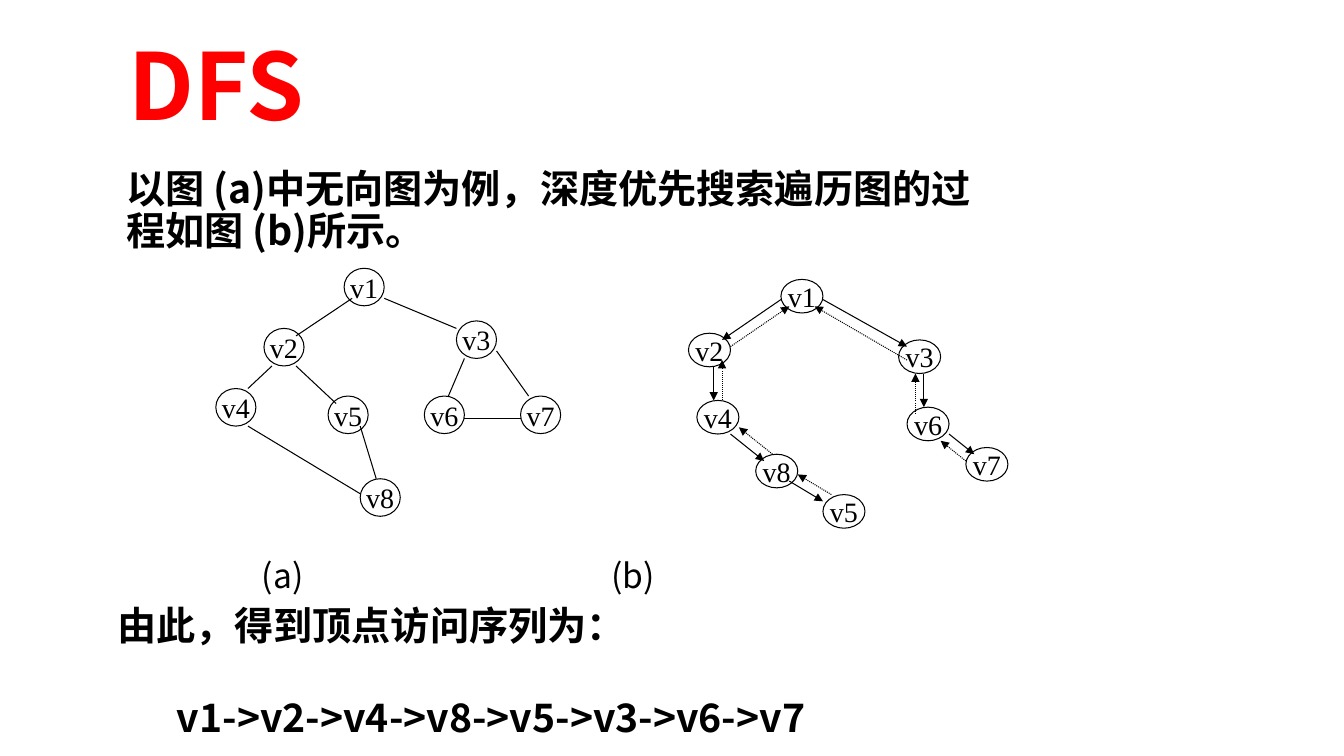
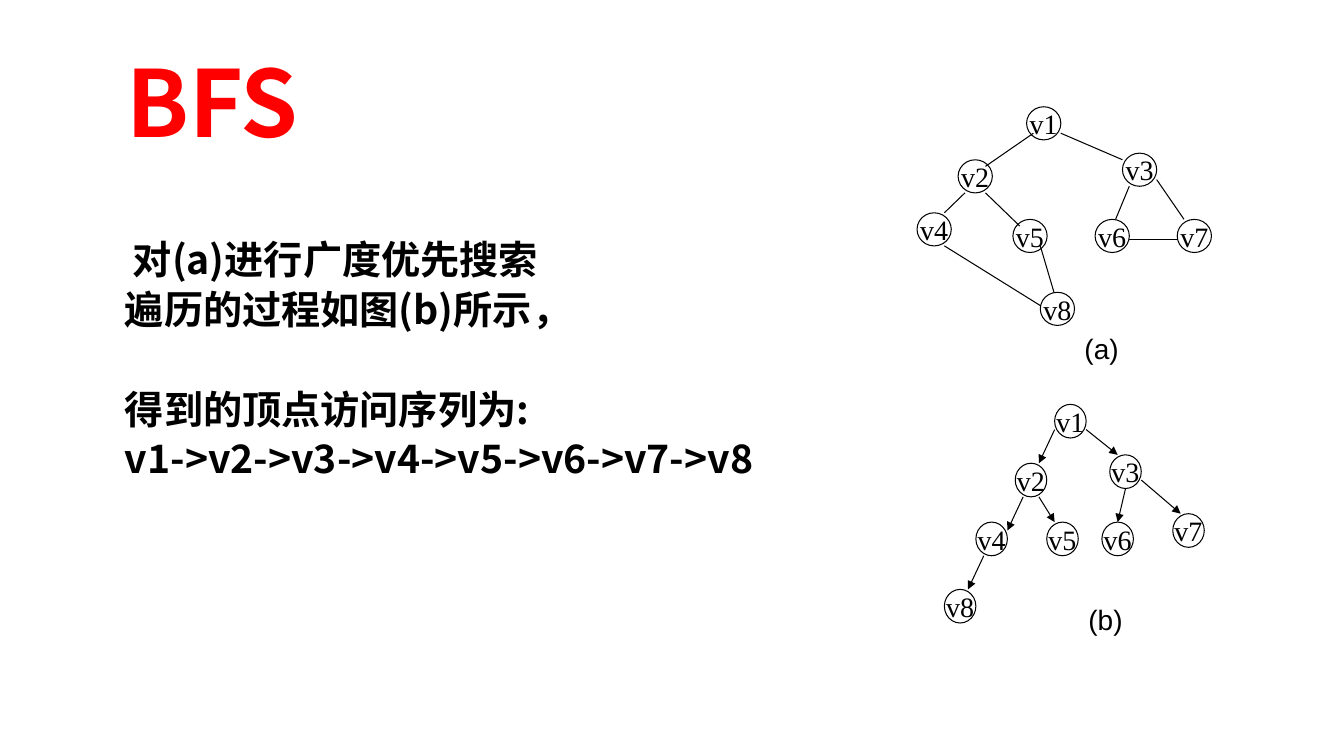
from pptx import Presentation
from pptx import util as u
from pptx.dml import color
from pptx.enum import dml, shapes, text
from pptx.oxml import ns
from lxml import etree

SANS = "Noto Sans CJK SC"
SERIF = "Times New Roman"
ARIAL = "Arial"

UNDIRECTED = {
    "cols": 43, "rows": 33, "node": 5,
    "nodes": {"v1": (16, 0), "v2": (6, 8), "v3": (30, 7), "v4": (0, 16),
              "v5": (14, 17), "v6": (26, 17), "v7": (38, 17), "v8": (18, 28)},
    "edges": [(17, 4, 10, 9), (21, 4, 30, 8), (7, 13, 4, 16),
              (10, 13, 15, 18), (31, 12, 29, 17), (35, 11, 39, 17),
              (31, 20, 38, 20), (18, 21, 20, 28), (4, 21, 18, 30)],
}
DEPTH_FIRST = {
    "cols": 38, "rows": 37, "node": 5,
    "nodes": {"v1": (11, 0), "v2": (0, 8), "v3": (25, 9), "v4": (1, 18),
              "v5": (16, 32), "v6": (26, 19), "v7": (33, 25), "v8": (8, 26)},
    "visits": [(11, 3, 4, 9), (16, 3, 26, 10), (3, 13, 3, 18),
               (28, 14, 28, 19), (5, 23, 9, 27), (12, 30, 16, 33),
               (31, 23, 34, 26)],
    "returns": [(5, 10, 12, 4), (26, 12, 15, 4), (4, 18, 4, 12),
                (27, 20, 27, 14), (10, 26, 6, 22), (17, 32, 13, 29),
                (33, 27, 30, 24)],
}
BREADTH_FIRST = {
    "cols": 33, "rows": 26, "node": 4,
    "nodes": {"v1": (14, 0), "v2": (9, 7), "v3": (21, 6), "v4": (4, 14),
              "v5": (13, 14), "v6": (20, 14), "v7": (29, 13), "v8": (0, 22)},
    "visits": [(14, 3, 12, 7), (18, 3, 22, 6), (10, 11, 8, 15),
               (12, 11, 14, 14), (23, 10, 22, 14), (25, 9, 30, 13),
               (5, 18, 3, 22)],
}


def rgb(value):
    return color.RGBColor.from_string(value)


def set_values(target, values):
    for name, value in values.items():
        setattr(target, name, value)


class Lecture:
    ink = "000000"
    accent = "FF0000"
    line_width = u.Pt(0.75)
    leading = 1.07
    plain_frame = {"margin_left": 0, "margin_right": 0,
                   "margin_top": 0, "margin_bottom": 0}

    def __init__(self):
        self.deck = Presentation()
        set_values(self.deck, {"slide_width": u.Cm(33.87),
                               "slide_height": u.Cm(19.05)})
        self.page = None

    def new_page(self):
        self.page = self.deck.slides.add_slide(self.deck.slide_layouts[6])

    def add_words(self, para, words, size, font=SANS, bold=False, shade=ink):
        span = para.add_run()
        span.text = words
        set_values(span.font, {"size": u.Pt(size), "name": font, "bold": bold})
        span.font.color.rgb = rgb(shade)
        if font == SANS:
            east = etree.SubElement(span.font._element, ns.qn("a:ea"))
            east.set("typeface", font)

    def text(self, left, top, width, lines, size, **style):
        height = size * self.leading * len(lines) / 28.35
        box = self.page.shapes.add_textbox(*map(u.Cm, (left, top, width, height)))
        frame = box.text_frame
        set_values(frame, {**self.plain_frame, "word_wrap": True})
        for index, (words, indent, after) in enumerate(lines):
            para = frame.add_paragraph() if index else frame.paragraphs[0]
            set_values(para, {"line_spacing": u.Pt(size * self.leading),
                              "space_before": u.Pt(0), "space_after": u.Pt(after)})
            para._p.get_or_add_pPr().set("indent", str(u.Cm(indent)))
            self.add_words(para, words, size, **style)

    def title(self, left, top, words):
        self.text(left, top, 22, [(words, 0, 0)], 66, bold=True, shade=self.accent)

    def body(self, left, top, lines):
        self.text(left, top, 21.8, lines, 28, bold=True)

    def caption(self, left, top, words, size, font):
        self.text(left, top, 2.5, [(words, 0, 0)], size, font=font)

    def node(self, group, name, left, top, width, height):
        circle = group.shapes.add_shape(
            shapes.MSO_SHAPE.OVAL, *map(u.Cm, (left, top, width, height)))
        circle.shadow.inherit = False
        circle.fill.background()
        circle.line.color.rgb = rgb(self.ink)
        circle.line.width = self.line_width
        frame = circle.text_frame
        set_values(frame, {**self.plain_frame, "word_wrap": False,
                           "vertical_anchor": text.MSO_ANCHOR.MIDDLE})
        para = frame.paragraphs[0]
        para.alignment = text.PP_ALIGN.CENTER
        self.add_words(para, name, 20, SERIF)

    def edge(self, group, ends, arrow, dotted):
        link = group.shapes.add_connector(
            shapes.MSO_CONNECTOR.STRAIGHT, *map(u.Cm, ends))
        link.line.color.rgb = rgb(self.ink)
        link.line.width = self.line_width
        if dotted:
            link.line.dash_style = dml.MSO_LINE.ROUND_DOT
        if arrow:
            outline = link._element.spPr.find(ns.qn("a:ln"))
            tip = etree.SubElement(outline, ns.qn("a:tailEnd"))
            tip.set("type", "triangle")
        etree.SubElement(link._element.spPr, ns.qn("a:effectLst"))

    def graph(self, left, top, width, height, plan):
        step_x, step_y = width / plan["cols"], height / plan["rows"]
        group = self.page.shapes.add_group_shape()

        def place(x, y):
            return left + x * step_x, top + y * step_y

        for name, cell in plan["nodes"].items():
            self.node(group, name, *place(*cell),
                      plan["node"] * step_x, plan["node"] * step_y)
        for kind, arrow, dotted in (("edges", False, False),
                                    ("visits", True, False),
                                    ("returns", True, True)):
            for x1, y1, x2, y2 in plan.get(kind, []):
                self.edge(group, place(x1, y1) + place(x2, y2), arrow, dotted)


def depth_first_page(lecture):
    lecture.new_page()
    lecture.title(3.25, 1, "DFS")
    lecture.body(3.18, 4.26, [
        ("以图 (a)中无向图为例，深度优先搜索遍历图的过程如图 (b)所示。", -0.2, 0)])
    lecture.graph(5.44, 6.76, 8.69, 6.25, UNDIRECTED)
    lecture.graph(17.35, 7.04, 8.05, 6.27, DEPTH_FIRST)
    for left, words in ((6.6, "(a)"), (15.4, "(b)")):
        lecture.caption(left, 14.09, words, 24, SANS)
    lecture.body(2.95, 15.27, [("由此，得到顶点访问序列为：", 0, 0)])
    lecture.body(4.46, 17.59, [("v1->v2->v4->v8->v5->v3->v6->v7", 0, 0)])


def breadth_first_page(lecture):
    lecture.new_page()
    lecture.title(3.18, 1.44, "BFS")
    lecture.body(3.15, 6.05, [
        ("对(a)进行广度优先搜索", 0.2, 5.7),
        ("遍历的过程如图(b)所示，", 0, 41.4),
        ("得到的顶点访问序列为:", 0, 5.7),
        ("v1->v2->v3->v4->v5->v6->v7->v8", 0, 0)])
    lecture.graph(23.11, 2.69, 7.42, 5.51, UNDIRECTED)
    lecture.graph(23.8, 10.19, 6.55, 5.51, BREADTH_FIRST)
    lecture.caption(27.33, 8.44, "(a)", 20, ARIAL)
    lecture.caption(27.43, 15.27, "(b)", 20, ARIAL)


def main():
    lecture = Lecture()
    depth_first_page(lecture)
    breadth_first_page(lecture)
    lecture.deck.save("out.pptx")


if __name__ == "__main__":
    main()
